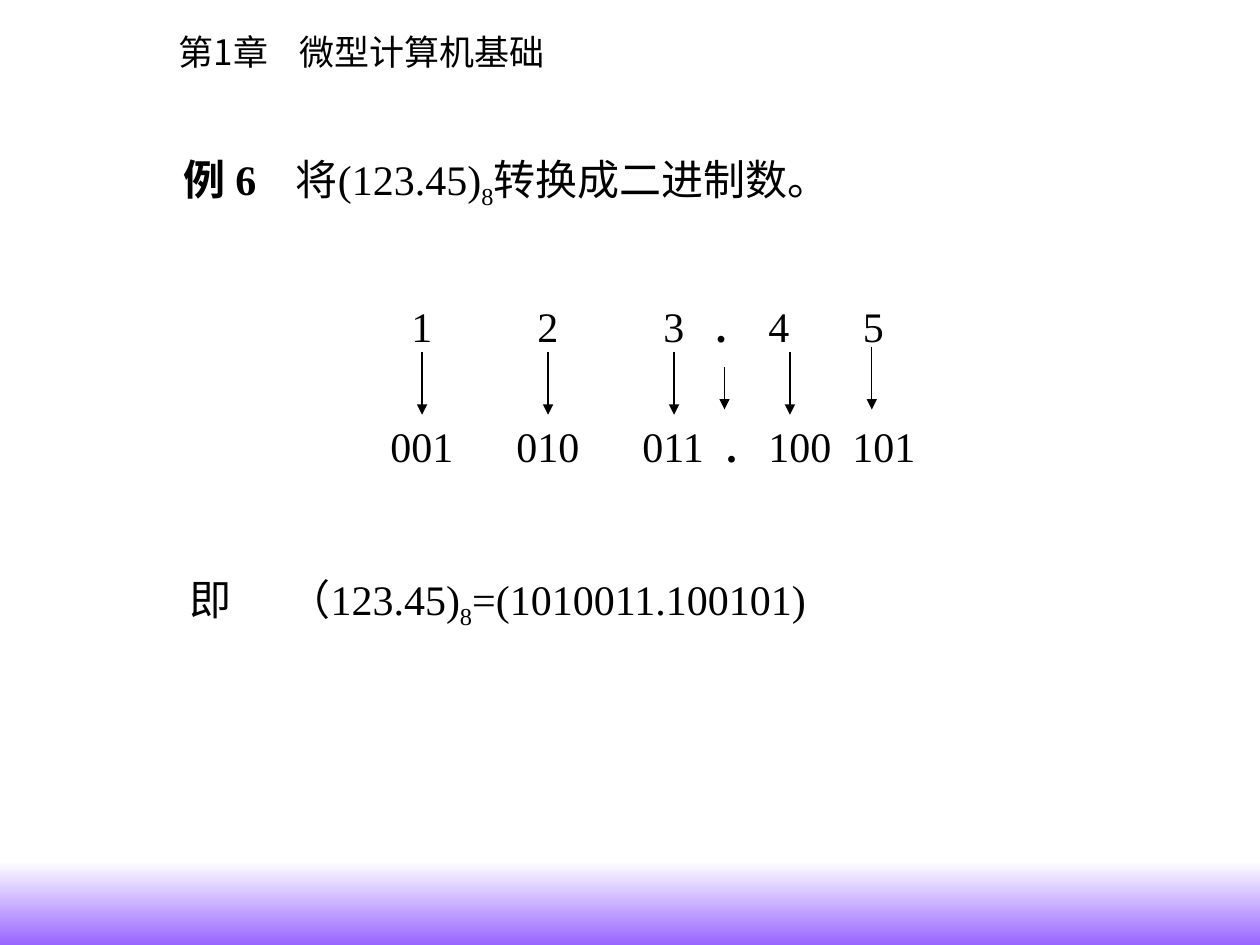
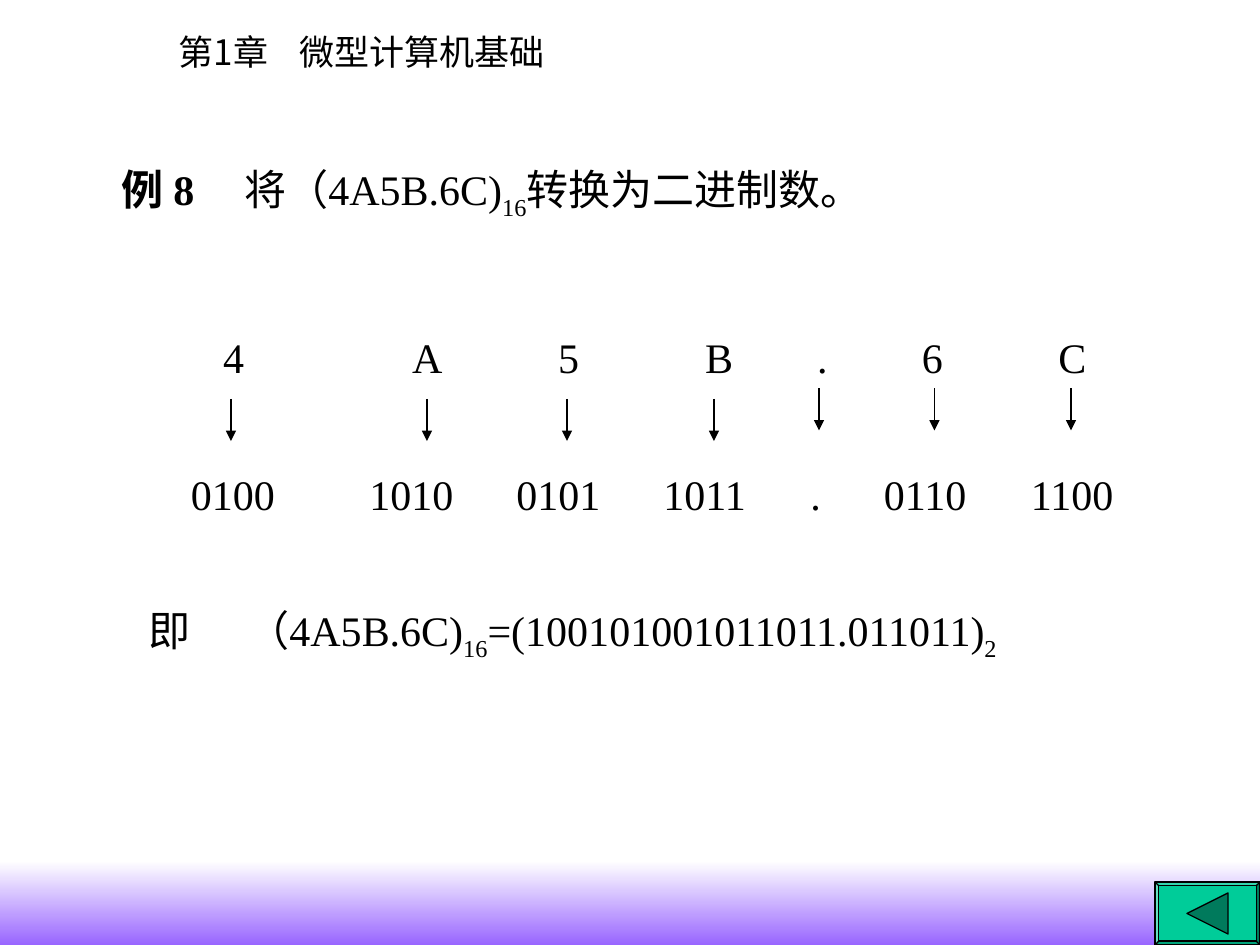
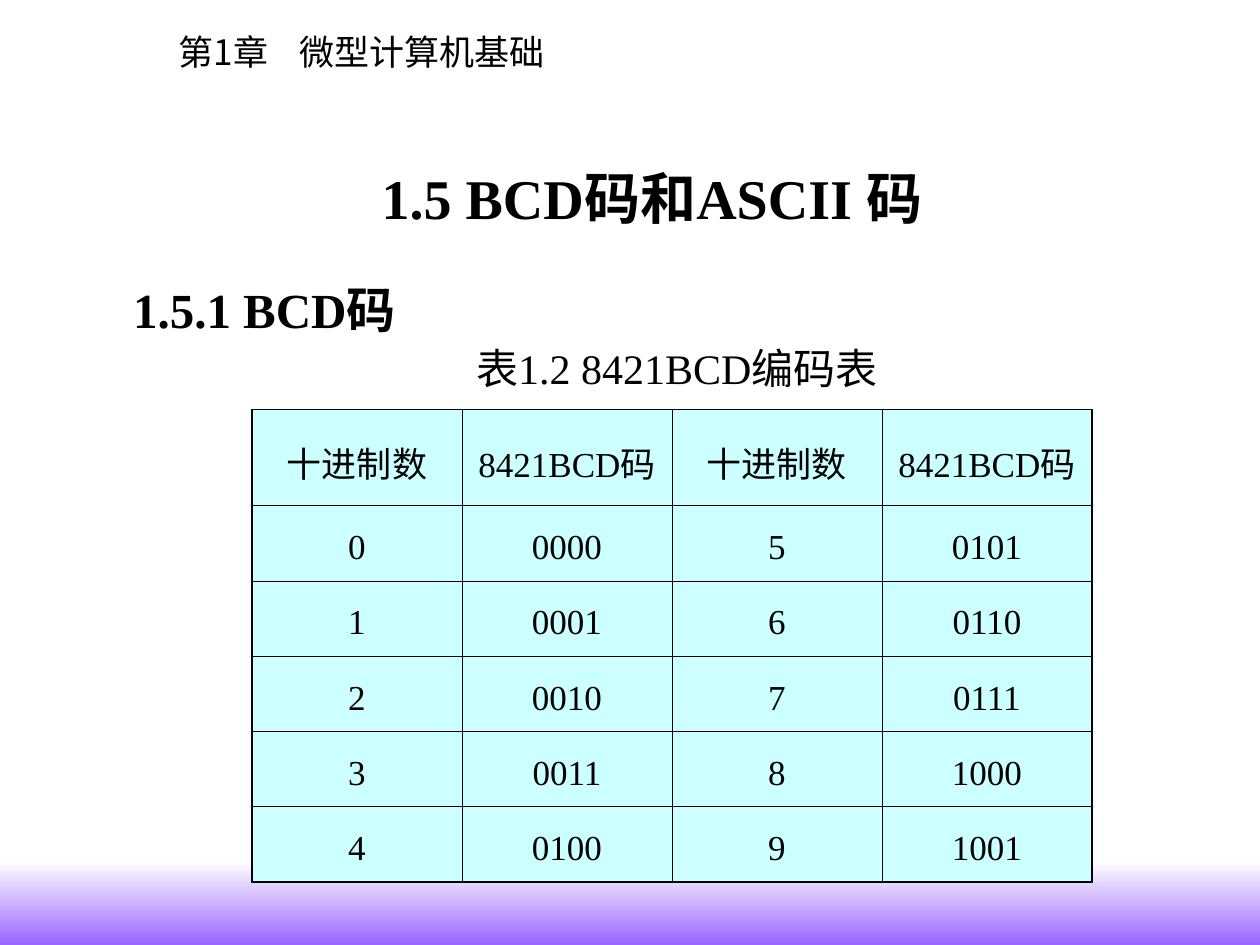
from lxml.etree import SubElement
from pptx import Presentation
from pptx.dml.color import RGBColor
from pptx.enum.shapes import MSO_CONNECTOR, MSO_SHAPE
from pptx.enum.text import MSO_ANCHOR, PP_ALIGN
from pptx.oxml.ns import qn
from pptx.util import Pt

BLACK = RGBColor(0x00, 0x00, 0x00)
WHITE = RGBColor(0xFF, 0xFF, 0xFF)
VIOLET = RGBColor(0x99, 0x66, 0xFF)
GREEN = RGBColor(0x00, 0xCC, 0x99)
DARK_GREEN = RGBColor(0x00, 0x7A, 0x5C)
CYAN = RGBColor(0xCC, 0xFF, 0xFF)

LATIN = "Times New Roman"
CJK = "Noto Sans CJK SC"
BODY, CELL, HEADER = 24, 20, 20
THIN, THICK = 0.45, 1.08

# Run styles
PLAIN, BOLD, SUB = "plain", "bold", "sub"


class Deck:
    """Holds the style and the current slide."""

    def __init__(self):
        self.prs = Presentation()
        self.prs.slide_width, self.prs.slide_height = Pt(720), Pt(540)
        self.s = None

    def slide(self):
        self.s = self.prs.slides.add_slide(self.prs.slide_layouts[6])
        self.band()
        self.text(95, 13.7, 236, 32, [("第1章\t微型计算机基础", PLAIN)],
                  size=HEADER, tabs=[69], latin=CJK)

    def band(self):
        sp = self.s.shapes.add_shape(MSO_SHAPE.RECTANGLE, Pt(0), Pt(492), Pt(720), Pt(48))
        sp.shadow.inherit = False
        sp.line.fill.background()
        sp.fill.gradient()
        sp.fill.gradient_angle = 270
        for stop, color in zip(sp.fill.gradient_stops, (WHITE, VIOLET)):
            stop.color.rgb = color

    def run(self, p, text, style=PLAIN, size=BODY, latin=LATIN):
        r = p.add_run()
        r.text = text
        r.font.size = Pt(size)
        r.font.bold = style == BOLD
        r.font.color.rgb = BLACK
        r.font.name = latin
        rPr = r._r.get_or_add_rPr()
        SubElement(rPr, qn("a:ea")).set("typeface", CJK)
        if style == SUB:
            rPr.set("baseline", "-25000")

    def text(self, left, top, width, height, runs, size=BODY, tabs=(), latin=LATIN):
        tf = self.s.shapes.add_textbox(Pt(left), Pt(top), Pt(width), Pt(height)).text_frame
        tf.word_wrap = True
        p = tf.paragraphs[0]
        if tabs:
            tab_list = SubElement(p._p.get_or_add_pPr(), qn("a:tabLst"))
            for pos in tabs:
                SubElement(tab_list, qn("a:tab"), pos=str(Pt(pos)), algn="l")
        for text, style in runs:
            self.run(p, text, style, size, latin)

    def digits(self, left, top, width, items, tabs, point=PLAIN):
        """One row of digit groups set on tab stops; point styles the radix point."""
        runs = [(("\t" if i else "") + item, point if item == "." else PLAIN)
                for i, item in enumerate(items)]
        self.text(left, top, width, 36, runs, tabs=tabs)

    def arrows(self, xs, top, bottom):
        for x in xs:
            c = self.s.shapes.add_connector(MSO_CONNECTOR.STRAIGHT,
                                            Pt(x), Pt(top), Pt(x), Pt(bottom))
            c.line.color.rgb = BLACK
            c.line.width = Pt(0.75)
            SubElement(c.line._get_or_add_ln(), qn("a:tailEnd"), type="triangle")
            SubElement(c._element.spPr, qn("a:effectLst"))

    def paint(self, sp, color):
        sp.shadow.inherit = False
        sp.fill.solid()
        sp.fill.fore_color.rgb = color
        sp.line.color.rgb = BLACK
        sp.line.width = Pt(0.75)

    def back_button(self, left, top, width, height):
        sp = self.s.shapes.add_shape(MSO_SHAPE.BEVEL, Pt(left), Pt(top), Pt(width), Pt(height))
        sp.adjustments[0] = 0.06
        self.paint(sp, GREEN)
        cx, cy, half = left + width / 2, top + height / 2, 11.75
        fb = self.s.shapes.build_freeform(Pt(cx - half), Pt(cy))
        fb.add_line_segments([(Pt(cx + half), Pt(cy - half)), (Pt(cx + half), Pt(cy + half))])
        self.paint(fb.convert_to_shape(), DARK_GREEN)

    def border(self, cell, side, width):
        ln = SubElement(cell._tc.get_or_add_tcPr(), qn(f"a:ln{side}"), w=str(Pt(width)))
        fill = SubElement(ln, qn("a:solidFill"))
        SubElement(fill, qn("a:srgbClr"), val=str(BLACK))

    def table(self, left, top, col_width, heights, rows):
        n_rows, n_cols = len(rows), len(rows[0])
        tbl = self.s.shapes.add_table(n_rows, n_cols, Pt(left), Pt(top),
                                      Pt(col_width * n_cols), Pt(sum(heights))).table
        tbl.first_row = tbl.horz_banding = False
        for col in tbl.columns:
            col.width = Pt(col_width)
        for i, row in enumerate(rows):
            tbl.rows[i].height = Pt(heights[i])
            for j, text in enumerate(row):
                cell = tbl.cell(i, j)
                outer = {"L": j == 0, "R": j == n_cols - 1, "T": i == 0, "B": i == n_rows - 1}
                for side, is_outer in outer.items():
                    self.border(cell, side, THICK if is_outer else THIN)
                cell.fill.solid()
                cell.fill.fore_color.rgb = CYAN
                cell.vertical_anchor = MSO_ANCHOR.MIDDLE
                cell.margin_left = cell.margin_right = Pt(6)
                cell.margin_top, cell.margin_bottom = Pt(8.6), Pt(3.6)
                p = cell.text_frame.paragraphs[0]
                p.alignment = PP_ALIGN.CENTER
                self.run(p, text, size=CELL)


def octal_slide(d):
    d.slide()
    d.text(98, 84, 410, 40, [("例 6\t", BOLD), ("将(123.45)", PLAIN), ("8", SUB),
                             ("转换成二进制数。", PLAIN)], tabs=[64])
    # Octal digits over their binary groups
    d.digits(228, 168, 290, ["1", "2", "3", ".", "4", "5"],
             [72, 144, 174, 204, 258], point=BOLD)
    d.digits(216, 237, 330, ["001", "010", "011", ".", "100", "101"],
             [72, 144, 192, 216, 264], point=BOLD)
    d.arrows([241.2, 313.2, 385.2, 451.4], 201, 237)
    d.arrows([498.2], 198, 234)
    d.arrows([414], 210, 234)
    # Result
    d.text(101.5, 324, 390, 40, [("即\t（123.45)", PLAIN), ("8", SUB),
                                 ("=(1010011.100101)", PLAIN)], tabs=[56.3])


def hex_slide(d):
    d.slide()
    d.text(62.6, 90, 465, 40, [("例 8\t", BOLD), ("将（4A5B.6C)", PLAIN), ("16", SUB),
                               ("转换为二进制数。", PLAIN)], tabs=[70])
    # Hexadecimal digits over their binary groups
    d.digits(120.5, 186, 520, ["4", "A", "5", "B", ".", "6", "C"],
             [108, 191.3, 275.3, 339.3, 399.3, 477.3])
    d.digits(102, 264, 550, ["0100", "1010", "0101", "1011", ".", "0110", "1100"],
             [102, 186, 270, 354, 396, 480])
    d.arrows([132, 244, 324, 408], 228, 252)
    d.arrows([468, 534, 612], 222, 246)
    # Result
    d.text(78, 342, 520, 40, [("即\t（4A5B.6C)", PLAIN), ("16", SUB),
                              ("=(100101001011011.011011)", PLAIN), ("2", SUB)], tabs=[56.3])
    d.back_button(660, 504, 60, 36)


def bcd_slide(d):
    d.slide()
    d.text(211, 90, 360, 46, [("1.5 BCD码和ASCII 码", BOLD)], size=32)
    d.text(69, 156, 184, 41, [("1.5.1 BCD码", BOLD)], size=28)
    # Code table: n and n + 5 side by side
    rows = [["十进制数", "8421BCD码"] * 2]
    rows += [[str(n), f"{n:04b}", str(n + 5), f"{n + 5:04b}"] for n in range(5)]
    d.table(144, 234, 120, [55] + [43] * 5, rows)
    d.text(265, 192, 268, 36, [("表1.2 8421BCD编码表", PLAIN)])


def main():
    d = Deck()
    octal_slide(d)
    hex_slide(d)
    bcd_slide(d)
    d.prs.save("out.pptx")


if __name__ == "__main__":
    main()
